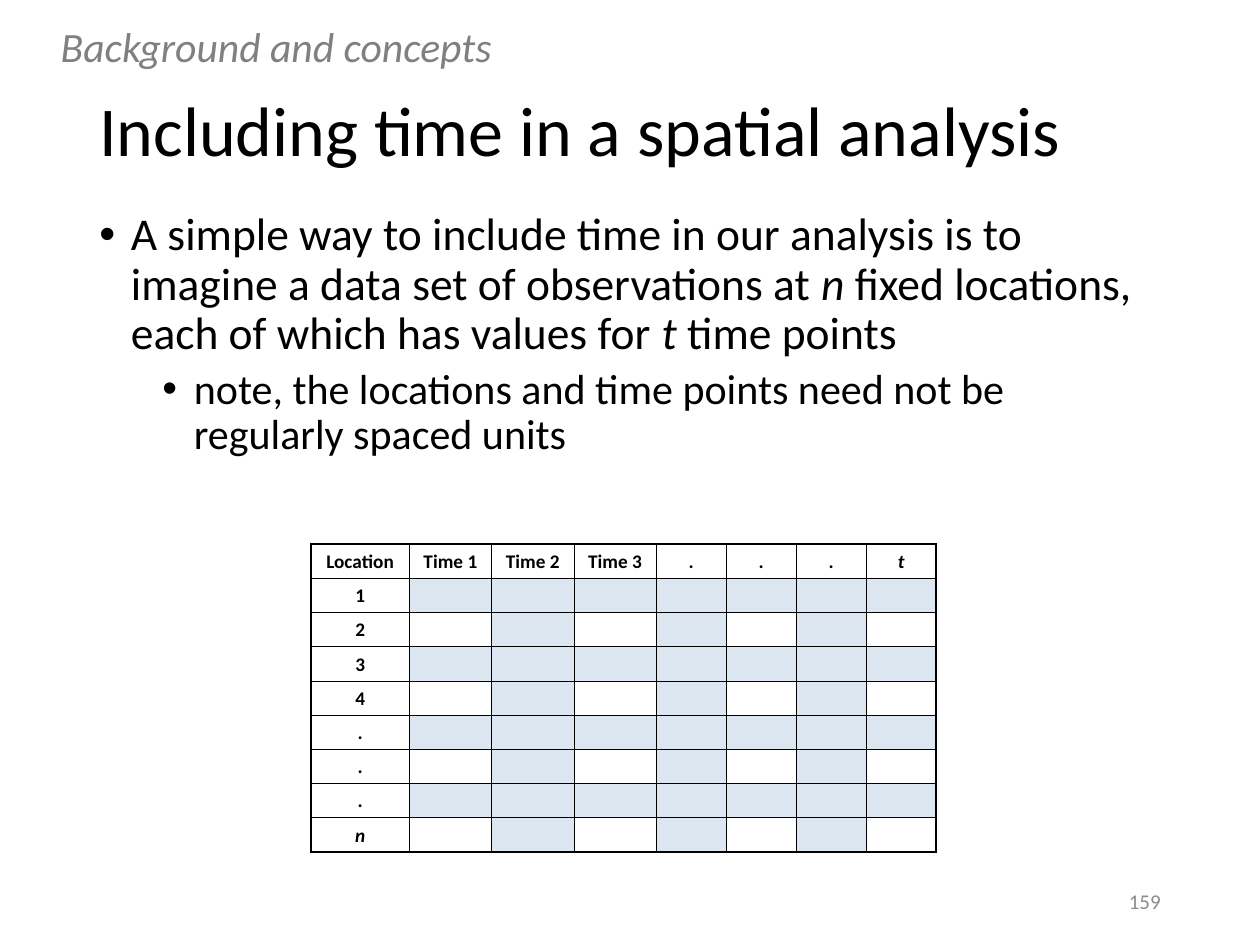
from lxml.etree import SubElement
from pptx import Presentation
from pptx.dml.color import RGBColor
from pptx.enum.text import MSO_ANCHOR, MSO_AUTO_SIZE, PP_ALIGN
from pptx.oxml.ns import qn
from pptx.util import Cm, Pt

HUES = {"ink": "000000", "gray": "808080", "pale": "8C8C8C", "tint": "DCE6F1"}
FONT = "Calibri"
TITLE = "Including time in a spatial analysis"
TOPIC = "*Background and concepts*"
PAGE = "159"
POINTS = [
    ("A simple way to include time in our analysis is to imagine a data set of "
     "observations at *n *fixed locations, each of which has values for *t *time points",
     dict(size=26, level=0)),
    ("note, the locations and time points need not be regularly spaced units",
     dict(size=24, level=1, before=5)),
]
HEADS = ["Location", "Time 1", "Time 2", "Time 3", ".", ".", ".", "*t*"]
SITES = ["1", "2", "3", "4", ".", ".", ".", "*n*"]
WIDTHS = [1.98] + [1.66] * 3 + [1.41] * 4
HIGH = 0.69


def write(text, para, size=11, hue="ink", bold=False, align=PP_ALIGN.LEFT,
          line=1.0, before=0, level=None):
    """Fill a paragraph; asterisks switch italics on and off."""
    para.alignment, para.line_spacing = align, line
    para.space_before = Pt(before)
    props = para._p.get_or_add_pPr()
    left = 0 if level is None else Cm(0.635 + 1.27 * level)
    props.set("marL", str(left))
    props.set("indent", str(0 if level is None else -Cm(0.635)))
    if level is None:
        SubElement(props, qn("a:buNone"))
    else:
        para.level = level
        SubElement(props, qn("a:buFont"), typeface="Arial")
        SubElement(props, qn("a:buChar"), char="•")
    for turn, part in enumerate(text.split("*")):
        if part:
            run = para.add_run()
            run.text = part
            font = run.font
            font.name, font.size, font.bold = FONT, Pt(size), bold
            font.italic = turn % 2 == 1
            font.color.rgb = RGBColor.from_string(HUES[hue])
    if not text:
        SubElement(para._p, qn("a:endParaRPr"), sz=str(size * 100))


def place(shape, box, anchor=MSO_ANCHOR.TOP):
    """Move a text shape and return its frame."""
    shape.left, shape.top, shape.width, shape.height = map(Cm, box)
    frame = shape.text_frame
    frame.word_wrap, frame.auto_size = True, MSO_AUTO_SIZE.NONE
    frame.vertical_anchor = anchor
    return frame


def rule(cell, edge, width):
    """Draw one border of a cell."""
    line = SubElement(cell._tc.get_or_add_tcPr(), qn("a:ln" + edge), w=str(Pt(width)))
    fill = SubElement(line, qn("a:solidFill"))
    SubElement(fill, qn("a:srgbClr"), val=HUES["ink"])


def grid(slide):
    """Build the table of locations by time points."""
    rows, cols = len(SITES) + 1, len(HEADS)
    frame = slide.shapes.add_table(rows, cols, Cm(6.27), Cm(10.97),
                                   Cm(sum(WIDTHS)), Cm(HIGH * rows))
    table = frame.table
    table.first_row = table.horz_banding = False
    for col, width in zip(table.columns, WIDTHS):
        col.width = Cm(width)
    for r, row in enumerate(table.rows):
        row.height = Cm(HIGH)
        for c, cell in enumerate(row.cells):
            outer = {"L": c == 0, "R": c == cols - 1, "T": r == 0, "B": r == rows - 1}
            for edge, edged in outer.items():
                rule(cell, edge, 1 if edged else 0.5)
            if r and c and (r % 2 or c % 2 == 0):
                cell.fill.solid()
                cell.fill.fore_color.rgb = RGBColor.from_string(HUES["tint"])
            else:
                cell.fill.background()
            cell.margin_left = cell.margin_right = cell.margin_top = Cm(0.03)
            cell.margin_bottom = 0
            cell.vertical_anchor = MSO_ANCHOR.MIDDLE
            text = HEADS[c] if r == 0 else SITES[r - 1] if c == 0 else ""
            write(text, cell.text_frame.paragraphs[0], bold=True, align=PP_ALIGN.CENTER)


def main():
    """Build and save the slide."""
    deck = Presentation()
    deck.slide_width, deck.slide_height = Cm(25.4), Cm(19.05)
    slide = deck.slides.add_slide(deck.slide_layouts.get_by_name("Two Content"))
    title, body, topic = slide.placeholders
    frame = place(title, (1.75, 1.24, 21.9, 2.9), MSO_ANCHOR.MIDDLE)
    write(TITLE, frame.paragraphs[0], size=40, line=0.9)
    frame = place(body, (1.75, 4.14, 21.9, 13.03))
    for i, (text, form) in enumerate(POINTS):
        para = frame.add_paragraph() if i else frame.paragraphs[0]
        write(text, para, line=0.9, **form)
    frame = place(topic, (0.97, 0.48, 9.9, 1.35))
    write(TOPIC, frame.paragraphs[0], size=23.8, hue="gray", line=0.8)
    box = (17.93, 17.65, 5.72, 1.02)
    frame = place(slide.shapes.add_textbox(*map(Cm, box)), box, MSO_ANCHOR.MIDDLE)
    write(PAGE, frame.paragraphs[0], size=12, hue="pale", align=PP_ALIGN.RIGHT)
    grid(slide)
    deck.save("out.pptx")


if __name__ == "__main__":
    main()
